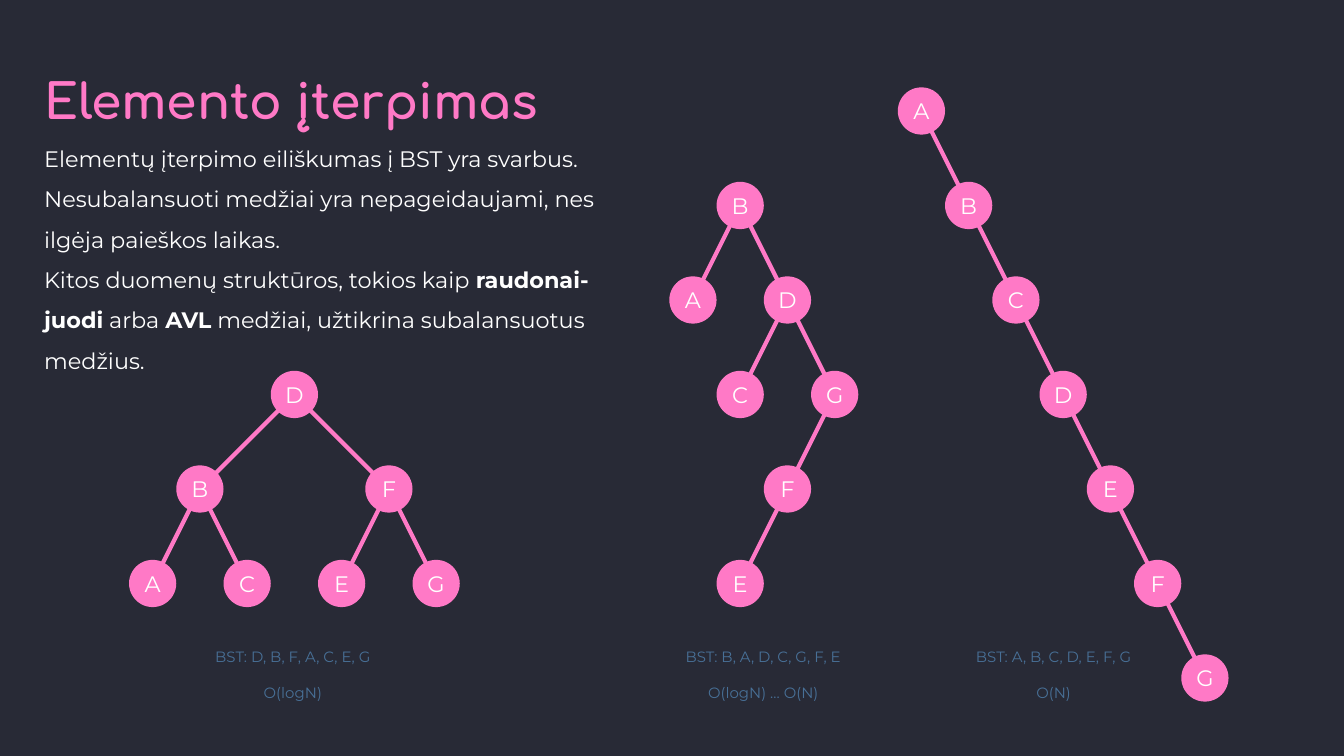
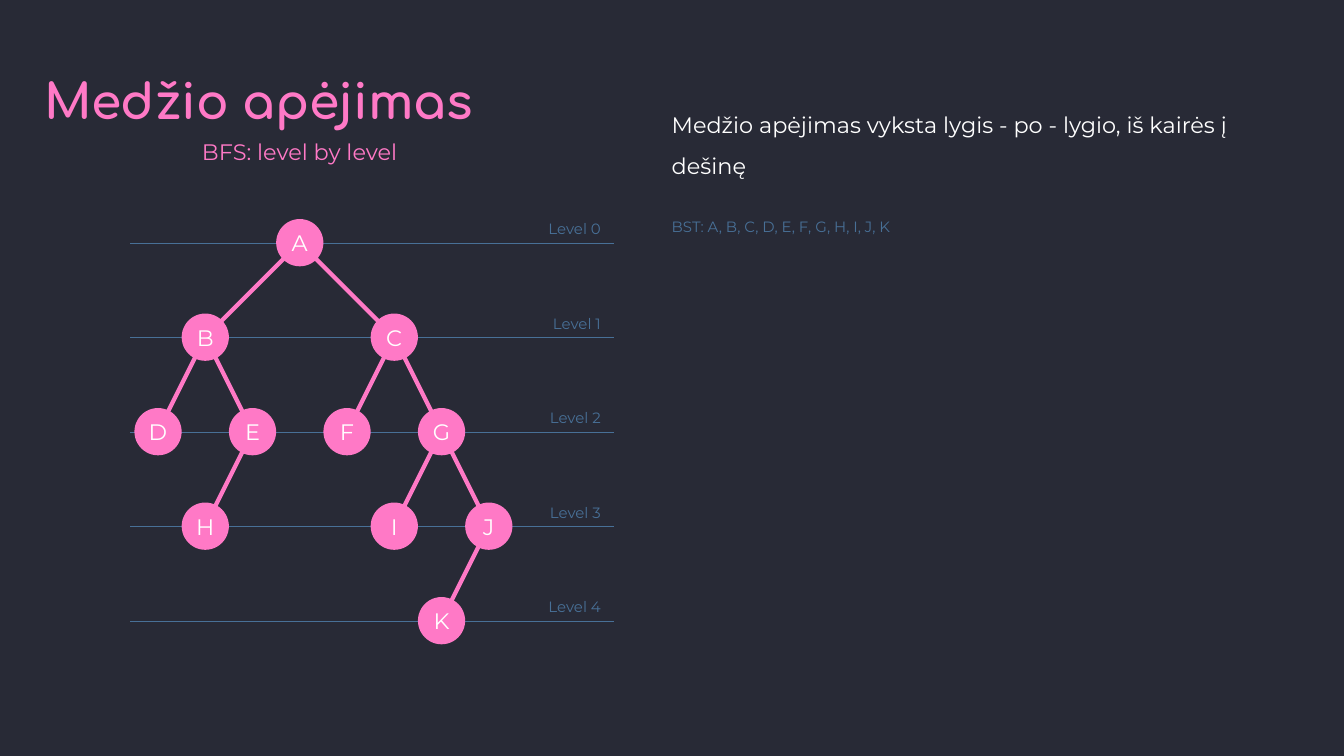
from lxml.etree import SubElement
from pptx import Presentation
from pptx.dml.color import RGBColor
from pptx.enum.shapes import MSO_CONNECTOR as CONN, MSO_SHAPE as SHAPE
from pptx.enum.text import MSO_ANCHOR as ANCHOR, PP_ALIGN as ALIGN
from pptx.oxml.ns import qn
from pptx.util import Inches, Pt

rgb = RGBColor.from_string
PINK, BLUE, WHITE, DARK = "FF79C6", "487097", "FFFFFF", "282A36"
W, H = 10, 5.625
COL, ROW = H / 16, H / 8  # tree grid; a node is one column wide


def write(tf, text, size, color, align=ALIGN.LEFT, font="Montserrat", spacing=1.0, gap=0, inset=0.1):
    """Fill a frame: one paragraph a line, bold between bars."""
    tf.word_wrap = True
    tf.margin_left = tf.margin_right = tf.margin_top = tf.margin_bottom = Inches(inset)
    for i, row in enumerate(text.split("\n")):
        p = tf.add_paragraph() if i else tf.paragraphs[0]
        p.alignment, p.line_spacing = align, spacing
        p.space_before = Pt(gap if i else 0)
        p.font.size, p.font.name = Pt(size), font
        p.font.color.rgb = rgb(color)
        for j, part in enumerate(row.split("|")):
            r = p.add_run()
            r.text = part
            if j % 2:
                r.font.bold = True


def line(shapes, x1, y1, x2, y2, color, width):
    c = shapes.add_connector(CONN.STRAIGHT, Inches(x1), Inches(y1), Inches(x2), Inches(y2))
    c.line.color.rgb = rgb(color)
    c.line.width = Pt(width)
    SubElement(c._element.spPr, qn("a:effectLst"))


prs = Presentation()
prs.slide_width, prs.slide_height = Inches(W), Inches(H)
bg = prs.slide_master.background.fill
bg.solid()
bg.fore_color.rgb = rgb(DARK)

# Slides and their titles
slides = []
for title in ("Elemento įterpimas", "Medžio apėjimas"):
    s = prs.slides.add_slide(prs.slide_layouts[6])
    box = s.shapes.add_textbox(Inches(0.23), Inches(0.21), Inches(4.39), Inches(0.57))
    write(box.text_frame, f"|{title}|", 26, PINK, font="Comfortaa", spacing=1.5)
    slides.append(s)
insertion, traversal = slides

# Level lines behind the traversal tree
levels = traversal.shapes.add_group_shape().shapes
for i in range(5):
    y = 1.81 + i * ROW
    line(levels, 0.97, y, 4.57, y, BLUE, 0.75)
    box = levels.add_textbox(Inches(3.5), Inches(y - 0.24), Inches(1.07), Inches(0.34))
    write(box.text_frame, f"Level {i}", 8, BLUE, ALIGN.RIGHT)

# Trees: slide, left, top, (column, row) of each node, edges
trees = [
    (insertion, 6.68, 0.65, {k: (i, i) for i, k in enumerate("ABCDEFG")}, "AG"),
    (insertion, 4.98, 0.65,
     {"B": (1, 1), "A": (0, 2), "D": (2, 2), "C": (1, 3), "G": (3, 3), "F": (2, 4), "E": (1, 5)},
     "AB BG DC GE"),
    (insertion, 0.96, 0.65,
     {"D": (3, 3), "B": (1, 4), "F": (5, 4), "A": (0, 5), "C": (2, 5), "E": (4, 5), "G": (6, 5)},
     "DB DF FG FE BC BA"),
    (traversal, 1, 1.63,
     {"A": (3, 0), "B": (1, 1), "C": (5, 1), "D": (0, 2), "E": (2, 2), "F": (4, 2), "G": (6, 2),
      "H": (1, 3), "I": (5, 3), "J": (7, 3), "K": (6, 4)},
     "AC AB BD BE HE FC JC IG KJ"),
]
for s, left, top, nodes, edges in trees:
    tree = s.shapes.add_group_shape().shapes
    spots = {k: (left + col * COL, top + row * ROW) for k, (col, row) in nodes.items()}
    for start, end in edges.split():
        ends = [v + COL / 2 for v in spots[start] + spots[end]]
        line(tree, *ends, PINK, 2.25)
    for letter, (x, y) in spots.items():
        sp = tree.add_shape(SHAPE.OVAL, Inches(x), Inches(y), Inches(COL), Inches(COL))
        sp.shadow.inherit = False
        sp.fill.solid()
        sp.fill.fore_color.rgb = rgb(PINK)
        sp.line.fill.background()
        sp.text_frame.vertical_anchor = ANCHOR.MIDDLE
        write(sp.text_frame, letter, 12, WHITE, ALIGN.CENTER, inset=0)

# Captions under the insertion trees
for x, h, text in (
    (4.98, 0.74, "BST: B, A, D, C, G, F, E\nO(logN) … O(N)"),
    (7.14, 0.61, "BST: A, B, C, D, E, F, G\nO(N)"),
    (1.48, 0.61, "BST: D, B, F, A, C, E, G\nO(logN)"),
):
    box = insertion.shapes.add_textbox(Inches(x), Inches(4.72), Inches(1.4), Inches(h))
    write(box.text_frame, text, 8, BLUE, ALIGN.CENTER, gap=9.6)

# Body texts
body = (
    "Elementų įterpimo eiliškumas į BST yra svarbus.\n"
    "Nesubalansuoti medžiai yra nepageidaujami, nes ilgėja paieškos laikas.\n"
    "Kitos duomenų struktūros, tokios kaip |raudonai-juodi| arba |AVL| medžiai, "
    "užtikrina subalansuotus medžius."
)
walk = "Medžio apėjimas vyksta lygis - po - lygio, iš kairės į dešinę"
order = "BST: A, B, C, D, E, F, G, H, I, J, K"
for s, x, y, w, h, text, size, color, align, spacing in (
    (insertion, 0.23, 0.88, 4.68, 2.04, body, 12, WHITE, ALIGN.LEFT, 1.5),
    (traversal, 1.23, 0.93, 2, 0.4, "BFS: level by level", 12, PINK, ALIGN.CENTER, 1.0),
    (traversal, 4.9, 0.63, 4.46, 0.76, walk, 12, WHITE, ALIGN.LEFT, 1.5),
    (traversal, 4.9, 1.55, 2.16, 0.34, order, 8, BLUE, ALIGN.LEFT, 1.0),
):
    box = s.shapes.add_textbox(Inches(x), Inches(y), Inches(w), Inches(h))
    write(box.text_frame, text, size, color, align, spacing=spacing)

prs.save("out.pptx")
